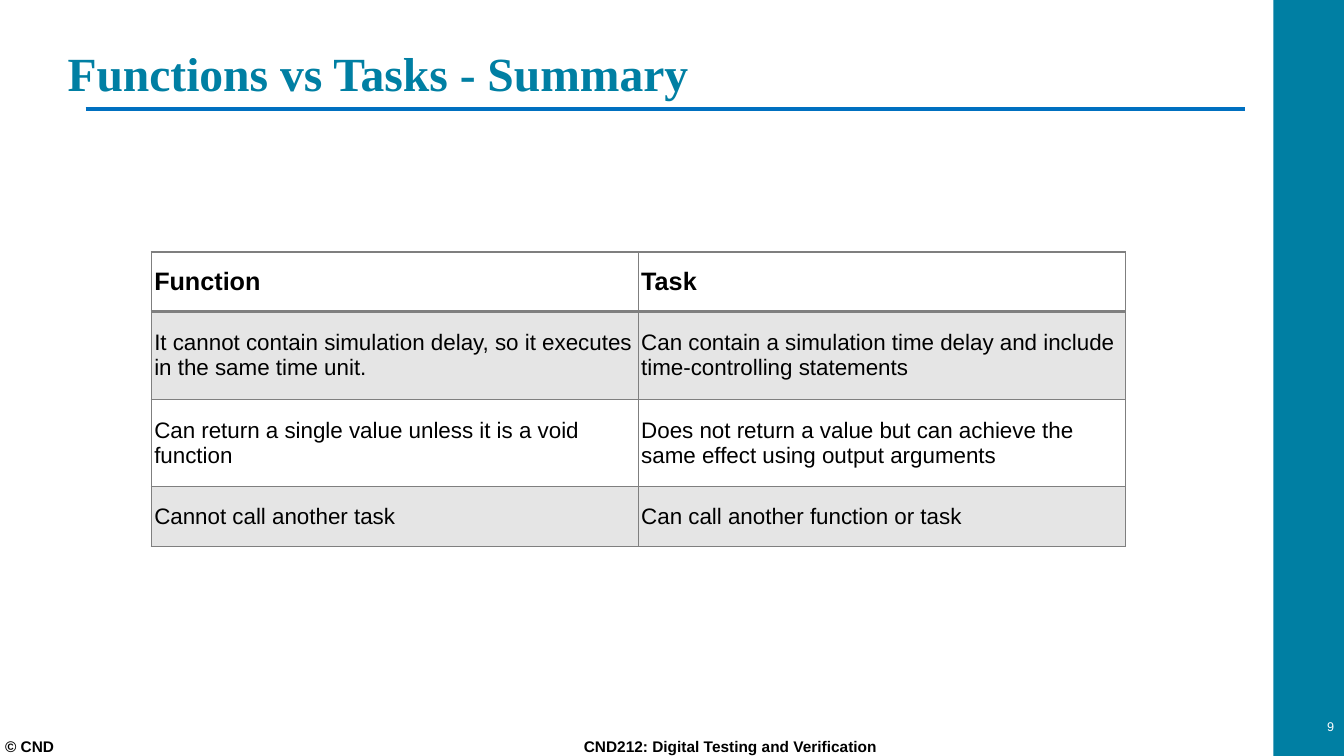
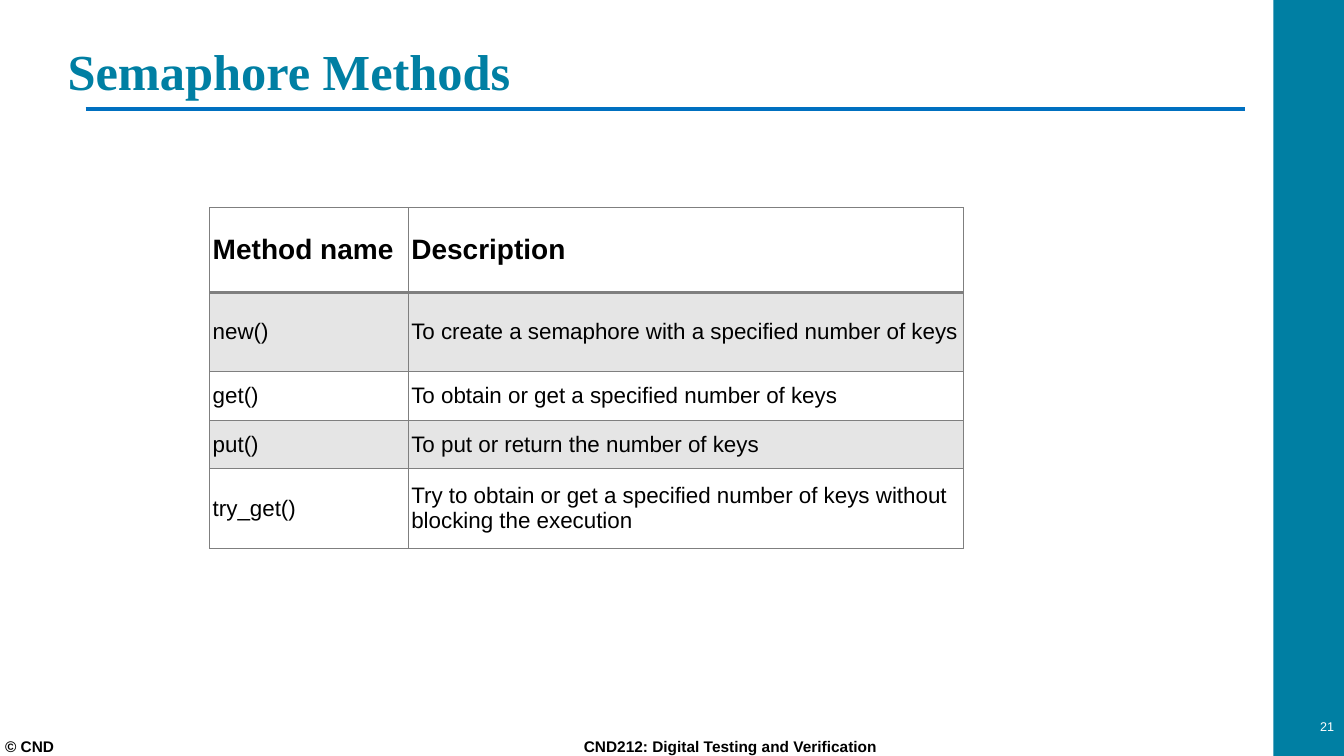
from lxml.etree import SubElement
from pptx import Presentation
from pptx.dml.color import RGBColor
from pptx.enum.shapes import MSO_CONNECTOR as CONNECTOR, MSO_SHAPE as SHAPE
from pptx.enum.text import MSO_ANCHOR as ANCHOR, PP_ALIGN as ALIGN
from pptx.oxml import parse_xml
from pptx.oxml.ns import nsdecls, qn
from pptx.util import Inches, Pt

TEAL = RGBColor(0x00, 0x7F, 0xA3)
BLUE = RGBColor(0x00, 0x70, 0xC0)
BLACK = RGBColor(0x00, 0x00, 0x00)
WHITE = RGBColor(0xFF, 0xFF, 0xFF)
GRAY = RGBColor(0x7F, 0x7F, 0x7F)
STRIPE = RGBColor(0xE5, 0xE5, 0xE5)

TITLE_FONT = {"name": "Times New Roman", "bold": True}
FOOTER_FONT = {"name": "Arial", "size": Pt(11), "bold": True}
NUMBER_FONT = {"name": "Arial", "size": Pt(9), "bold": False}
BODY_FONT = {"name": "Arial", "size": Pt(16), "bold": False}
NO_MARGIN = dict.fromkeys(("margin_left", "margin_top", "margin_right", "margin_bottom"), 0)
CELL_FORMAT = dict.fromkeys(NO_MARGIN, Inches(0.03)) | {"vertical_anchor": ANCHOR.MIDDLE}

FOOTER = "© CND\tCND212: Digital Testing and Verification"
FOOTER_TAB = Inches(5.74)

SUMMARY = [
    ("Function", "Task"),
    ("It cannot contain simulation delay, so it executes in the same time unit.",
     "Can contain a simulation time delay and include time-controlling statements"),
    ("Can return a single value unless it is a void function",
     "Does not return a value but can achieve the same effect using output arguments"),
    ("Cannot call another task", "Can call another function or task"),
]
METHODS = [
    ("Method name", "Description"),
    ("new()", "To create a semaphore with a specified number of keys"),
    ("get()", "To obtain or get a specified number of keys"),
    ("put()", "To put or return the number of keys"),
    ("try_get()", "Try to obtain or get a specified number of keys without blocking the execution"),
]


def apply(target, values):
    """Set every attribute in the dict on the target."""
    for name, value in values.items():
        setattr(target, name, value)


def write(paragraph, text, font, color):
    """Add one formatted run to a paragraph."""
    run = paragraph.add_run()
    run.text = text
    apply(run.font, font)
    run.font.color.rgb = color


def add_text(slide, box, text, font, color, frame_format):
    """Place a text box and return its paragraph."""
    frame = slide.shapes.add_textbox(*map(Inches, box)).text_frame
    frame.word_wrap = True
    apply(frame, frame_format)
    write(frame.paragraphs[0], text, font, color)
    return frame.paragraphs[0]


def add_band(slide, box):
    """Draw the coloured side band."""
    band = slide.shapes.add_shape(SHAPE.RECTANGLE, *map(Inches, box))
    band.shadow.inherit = False
    band.fill.solid()
    band.fill.fore_color.rgb = TEAL
    band.line.fill.background()


def add_title(slide, box, title, size):
    """Write the title and draw the rule beneath it."""
    left, top, width, height = box
    rule_y = Inches(top + height + 0.08)
    rule = slide.shapes.add_connector(
        CONNECTOR.STRAIGHT, Inches(left + 0.18), rule_y, Inches(left + width - 0.32), rule_y)
    rule.line.color.rgb = BLUE
    rule.line.width = Pt(3)
    SubElement(rule.element.spPr, qn("a:effectLst"))
    add_text(slide, box, title, TITLE_FONT | {"size": Pt(size)}, TEAL,
             NO_MARGIN | {"vertical_anchor": ANCHOR.BOTTOM})


def add_footer(slide, box, number):
    """Write the footer line and the page number at its right end."""
    left, top, width, height = box
    footer = add_text(slide, box, FOOTER, FOOTER_FONT, BLACK,
                      NO_MARGIN | {"vertical_anchor": ANCHOR.BOTTOM})
    tabs = SubElement(footer._p.get_or_add_pPr(), qn("a:tabLst"))
    SubElement(tabs, qn("a:tab"), pos=str(FOOTER_TAB), algn="l")
    page = add_text(slide, (left + width - 0.05, top - 0.18, 0.8, 0.3), str(number),
                    NUMBER_FONT, WHITE, {"vertical_anchor": ANCHOR.MIDDLE})
    page.alignment = ALIGN.RIGHT


def set_borders(cell, widths):
    """Give the left, right, top and bottom cell borders their widths in points."""
    properties = cell._tc.get_or_add_tcPr()
    for index, (side, width) in enumerate(zip("LRTB", widths)):
        properties.insert(index, parse_xml(
            f'<a:ln{side} {nsdecls("a")} w="{Pt(width)}"><a:solidFill>'
            f'<a:srgbClr val="{GRAY}"/></a:solidFill></a:ln{side}>'))


def add_grid(slide, origin, column_widths, row_heights, rows, header_size):
    """Build a bordered table with a bold header and striped body rows."""
    box = (*origin, sum(column_widths), sum(row_heights))
    table = slide.shapes.add_table(len(rows), len(column_widths), *map(Inches, box)).table
    table.horz_banding = False
    table.first_row = False
    for column, width in zip(table.columns, column_widths):
        column.width = Inches(width)
    for index, (row, height, texts) in enumerate(zip(table.rows, row_heights, rows)):
        row.height = Inches(height)
        font = BODY_FONT if index else BODY_FONT | {"size": Pt(header_size), "bold": True}
        for cell, text in zip(row.cells, texts):
            apply(cell, CELL_FORMAT)
            write(cell.text_frame.paragraphs[0], text, font, BLACK)
            if index % 2:
                cell.fill.solid()
                cell.fill.fore_color.rgb = STRIPE
            else:
                cell.fill.background()
            set_borders(cell, (1, 1, 2 if index == 1 else 1, 1 if index else 2))


def add_table_slide(presentation, title, title_size, number, **grid):
    """Add a slide with the shared frame and one table."""
    slide = presentation.slides.add_slide(presentation.slide_layouts[6])
    add_band(slide, (12.63, 0, 0.7, 7.5))
    add_title(slide, (0.67, 0.24, 12, 0.76), title, title_size)
    add_footer(slide, (0.05, 7.24, 12.53, 0.26), number)
    add_grid(slide, **grid)


def main():
    """Build and save the presentation."""
    presentation = Presentation()
    presentation.slide_width = Inches(13.33)
    presentation.slide_height = Inches(7.5)
    add_table_slide(presentation, "Functions vs Tasks - Summary", 34, 9,
                    origin=(1.5, 2.5), column_widths=(4.83, 4.83),
                    row_heights=(0.59, 0.87, 0.87, 0.59), rows=SUMMARY, header_size=18)
    add_table_slide(presentation, "Semaphore Methods", 36, 21,
                    origin=(2.08, 2.06), column_widths=(1.97, 5.51),
                    row_heights=(0.84, 0.79, 0.48, 0.48, 0.79), rows=METHODS, header_size=20)
    presentation.save("out.pptx")


if __name__ == "__main__":
    main()
